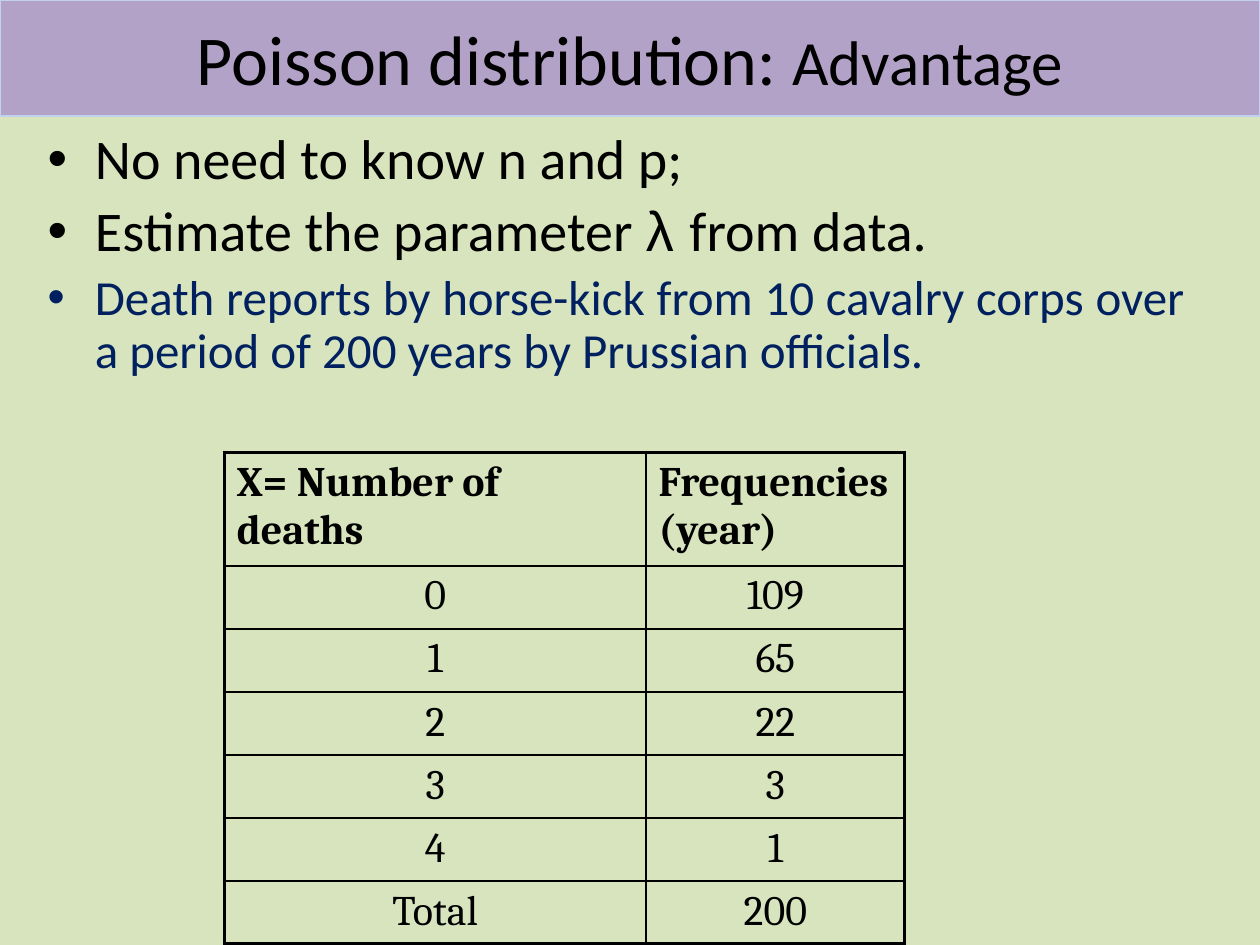
"""Build a slide on the advantage of the Poisson distribution."""
from dataclasses import dataclass

from lxml import etree
from pptx import Presentation, util as u
from pptx.dml.color import RGBColor
from pptx.enum import shapes, text
from pptx.oxml import ns

COLUMNS, ROWS = 100, 75
UNIT = u.Inches(0.1)


@dataclass(frozen=True)
class Theme:
    """Colours, fonts and type sizes of the slide."""
    background: str = "D7E4BD"
    band: str = "B3A2C7"
    band_line: str = "C2D1ED"
    ink: str = "000000"
    accent: str = "002060"
    body_font: str = "Calibri"
    symbol_font: str = "Arial"
    table_font: str = "Cambria"
    title: int = 40
    subtitle: int = 36
    body: int = 32
    example: int = 28
    cell: int = 24
    thin: float = 1
    thick: float = 2.25


THEME = Theme()


@dataclass(frozen=True)
class Box:
    """A region in grid columns and rows."""
    left: float
    top: float
    width: float
    height: float

    def emu(self):
        """Return the four lengths for python-pptx."""
        return [grid(value) for value in (self.left, self.top, self.width, self.height)]


def grid(value):
    """Convert grid units to slide lengths."""
    return u.Emu(round(value * UNIT))


def add_text(paragraph, content, size, font=THEME.body_font, color=THEME.ink, bold=False):
    """Append one formatted run to a paragraph."""
    run = paragraph.add_run()
    run.text = content
    run.font.size = u.Pt(size)
    run.font.name = font
    run.font.bold = bold
    run.font.color.rgb = RGBColor.from_string(color)


def add_bullet(paragraph, indent):
    """Give a paragraph a hanging round bullet."""
    properties = paragraph._p.get_or_add_pPr()
    properties.set("marL", str(indent))
    properties.set("indent", str(-indent))
    font = etree.SubElement(properties, ns.qn("a:buFont"))
    font.set("typeface", THEME.symbol_font)
    etree.SubElement(properties, ns.qn("a:buChar")).set("char", "•")


def set_borders(cell, widths):
    """Draw the borders of a cell from widths keyed by side."""
    properties = cell._tc.get_or_add_tcPr()
    for side in "LRTB":
        line = etree.SubElement(properties, ns.qn(f"a:ln{side}"))
        line.set("w", str(u.Pt(widths[side])))
        fill = etree.SubElement(line, ns.qn("a:solidFill"))
        etree.SubElement(fill, ns.qn("a:srgbClr")).set("val", THEME.ink)


def add_title(slide, box):
    """Place the title band."""
    shape = slide.shapes.add_shape(shapes.MSO_SHAPE.RECTANGLE, *box.emu())
    shape.shadow.inherit = False
    shape.fill.solid()
    shape.fill.fore_color.rgb = RGBColor.from_string(THEME.band)
    shape.line.color.rgb = RGBColor.from_string(THEME.band_line)
    shape.line.width = u.Pt(0.75)
    shape.text_frame.vertical_anchor = text.MSO_ANCHOR.MIDDLE
    paragraph = shape.text_frame.paragraphs[0]
    paragraph.alignment = text.PP_ALIGN.CENTER
    add_text(paragraph, "Poisson distribution: ", THEME.title)
    add_text(paragraph, "Advantage", THEME.subtitle)


def add_points(slide, box):
    """Place the bulleted points."""
    frame = slide.shapes.add_textbox(*box.emu()).text_frame
    frame.word_wrap = True
    points = [
        (THEME.body, THEME.ink, [("No need to know n and p;", THEME.body_font)]),
        (THEME.body, THEME.ink, [("Estimate the parameter ", THEME.body_font),
                                 ("λ ", THEME.symbol_font),
                                 ("from data.", THEME.body_font)]),
        (THEME.example, THEME.accent, [("Death reports by horse-kick from 10 cavalry corps over "
                                        "a period of 200 years by Prussian officials.",
                                        THEME.body_font)]),
    ]
    for index, (size, color, runs) in enumerate(points):
        paragraph = frame.add_paragraph() if index else frame.paragraphs[0]
        add_bullet(paragraph, grid(3.75))
        paragraph.line_spacing = 0.9
        if index:
            paragraph.space_before = u.Pt(size * 0.2)
        if size == THEME.example:
            paragraph.alignment = text.PP_ALIGN.JUSTIFY
        for content, font in runs:
            add_text(paragraph, content, size, font=font, color=color)


def add_frequencies(slide, box):
    """Place the table of deaths and frequencies."""
    records = [("X= Number of deaths", "Frequencies (year)"), ("0", "109"), ("1", "65"),
               ("2", "22"), ("3", "3"), ("4", "1"), ("Total", "200")]
    last_row, last_column = len(records) - 1, len(records[0]) - 1
    table = slide.shapes.add_table(len(records), len(records[0]), *box.emu()).table
    table.first_row = table.horz_banding = False
    for column, share in zip(table.columns, (0.62, 0.38)):
        column.width = grid(box.width * share)
    header_height = box.height * 0.23
    for row, record in enumerate(records):
        height = (box.height - header_height) / last_row if row else header_height
        table.rows[row].height = grid(height)
        for column, content in enumerate(record):
            cell = table.cell(row, column)
            edges = {"L": column == 0, "R": column == last_column,
                     "T": row == 0, "B": row == last_row}
            set_borders(cell, {side: THEME.thick if outer else THEME.thin
                               for side, outer in edges.items()})
            cell.fill.background()
            paragraph = cell.text_frame.paragraphs[0]
            paragraph.alignment = text.PP_ALIGN.CENTER if row else text.PP_ALIGN.LEFT
            add_text(paragraph, content, THEME.cell, font=THEME.table_font, bold=row == 0)


def main():
    """Build and save the presentation."""
    presentation = Presentation()
    presentation.slide_width = grid(COLUMNS)
    presentation.slide_height = grid(ROWS)
    slide = presentation.slides.add_slide(presentation.slide_layouts[6])
    slide.background.fill.solid()
    slide.background.fill.fore_color.rgb = RGBColor.from_string(THEME.background)
    add_title(slide, Box(0, 0, COLUMNS, 9.2))
    add_points(slide, Box(2.8, 9.9, 92.2, 63))
    add_frequencies(slide, Box(17.8, 35.9, 54, 37.7))
    presentation.save("out.pptx")


if __name__ == "__main__":
    main()
